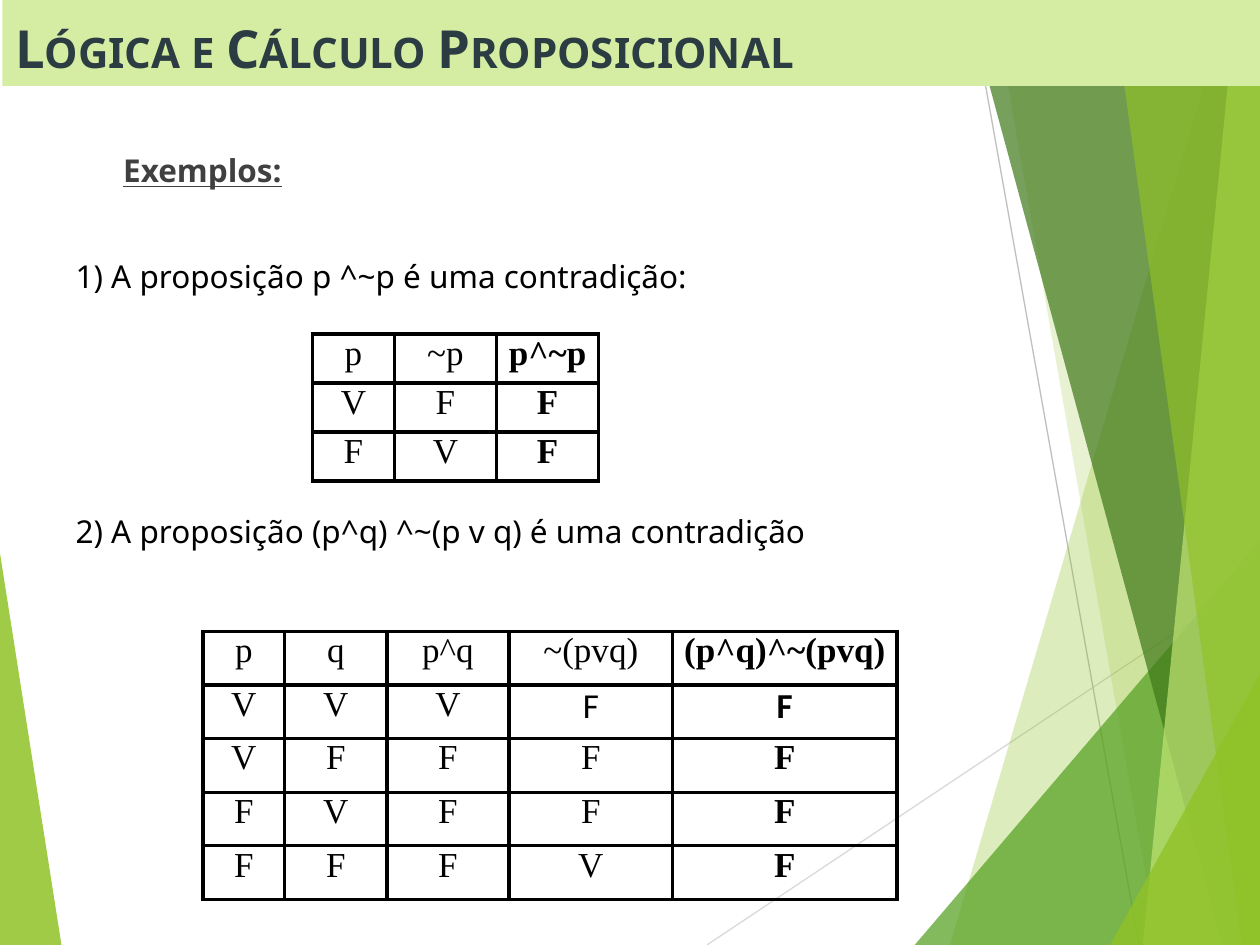
from lxml import etree
from pptx import Presentation
from pptx.dml.color import RGBColor
from pptx.enum.shapes import MSO_CONNECTOR
from pptx.enum.text import MSO_ANCHOR, MSO_AUTO_SIZE, PP_ALIGN
from pptx.oxml import parse_xml
from pptx.oxml.ns import nsdecls, qn
from pptx.util import Cm, Pt

BLACK = RGBColor(0x00, 0x00, 0x00)
GRAY = RGBColor(0x40, 0x40, 0x40)
SLATE = RGBColor(0x2C, 0x3C, 0x43)
PALE_LIME = RGBColor(0xD5, 0xED, 0xA2)
LIME = RGBColor(0x90, 0xC2, 0x26)
GREEN = RGBColor(0x54, 0xA0, 0x21)
DARK_GREEN = RGBColor(0x3F, 0x78, 0x19)
LIGHT_LIME = RGBColor(0xC0, 0xE4, 0x74)
LINE_LIGHT = RGBColor(0xD9, 0xD9, 0xD9)
LINE_GRAY = RGBColor(0xBF, 0xBF, 0xBF)
TEXT_FONT, TABLE_FONT = "Noto Sans", "Times New Roman"
WIDTH, HEIGHT = 25.4, 19.05

# Content
TITLE = "Lógica e Cálculo Proposicional"
# text, space before (pt), left margin (cm), colour, emphasised
BODY = [
    ("Exemplos:", 0, 0.96, GRAY, True),
    ("1) A proposição p ^~p é uma contradição:", 39, 0, BLACK, False),
    ("2) A proposição (p^q) ^~(p v q) é uma contradição", 124, 0, BLACK, False),
]
TRUTH_TABLES = [
    {"left": 6.3, "top": 6.73, "row_height": 0.99, "columns": [1.65, 2.06, 2.06],
     "rows": ["p ~p p^~p", "V F F", "F V F"], "sans_cells": []},
    {"left": 4.09, "top": 12.73, "row_height": 1.08,
     "columns": [1.65, 2.06, 2.46, 3.3, 4.52],
     "rows": ["p q p^q ~(pvq) (p^q)^~(pvq)", "V V V F F", "V F F F F",
              "F V F F F", "F F F V F"],
     "sans_cells": [(1, 3), (1, 4)]},
]

# Decoration: corner points in cm, colour, opacity in percent
LEFT_WEDGE = ([(0, 11.15), (1.24, HEIGHT), (0, HEIGHT)], LIME, 85)
RAYS = [(14.25, HEIGHT, WIDTH, 11.61, LINE_LIGHT),
        (19.56, 0, 22.96, HEIGHT, LINE_GRAY)]


def band(top_x, bottom_x):
    return [(top_x, 0), (bottom_x, HEIGHT), (WIDTH, HEIGHT), (WIDTH, 0)]


def corner(bottom_x, right_y):
    return [(bottom_x, HEIGHT), (WIDTH, right_y), (WIDTH, HEIGHT)]


RIGHT_FACETS = [
    (band(24.77, 19.15), LIME, 30),
    (band(20.02, 23.34), LIME, 20),
    (corner(18.44, 10.9), GREEN, 72),
    (band(19.48, 24.64), DARK_GREEN, 70),
    (band(24.92, 23.04), LIGHT_LIME, 70),
    (band(22.43, 25.04), LIME, 65),
    (corner(22.38, 13.59), LIME, 80),
]

presentation = Presentation()
presentation.slide_width, presentation.slide_height = Cm(WIDTH), Cm(HEIGHT)
slide = presentation.slides.add_slide(presentation.slide_layouts[1])


def add_facet(points, color, opacity):
    corners = [(Cm(x), Cm(y)) for x, y in points]
    builder = slide.shapes.build_freeform(*corners[0])
    builder.add_line_segments(corners[1:], close=True)
    shape = builder.convert_to_shape()
    shape.shadow.inherit = False
    shape.line.fill.background()
    shape.fill.solid()
    shape.fill.fore_color.rgb = color
    color_element = shape.element.spPr.find(".//" + qn("a:srgbClr"))
    etree.SubElement(color_element, qn("a:alpha"), val=str(opacity * 1000))


def add_ray(x1, y1, x2, y2, color):
    ray = slide.shapes.add_connector(
        MSO_CONNECTOR.STRAIGHT, Cm(x1), Cm(y1), Cm(x2), Cm(y2))
    ray.line.color.rgb = color
    ray.line.width = Pt(0.75)
    etree.SubElement(ray.element.spPr, qn("a:effectLst"))


def place(shape, left, top, width, height):
    shape.left, shape.top = Cm(left), Cm(top)
    shape.width, shape.height = Cm(width), Cm(height)
    shape.element.getparent().append(shape.element)  # bring to front


def format_font(font, name, size, color, bold):
    font.name, font.size, font.bold = name, Pt(size), bold
    font.color.rgb = color


def add_borders(cell):
    properties = cell._tc.get_or_add_tcPr()
    for position, side in enumerate(("lnL", "lnR", "lnT", "lnB")):
        properties.insert(position, parse_xml(
            f'<a:{side} {nsdecls("a")} w="{Pt(2.25)}"><a:solidFill>'
            f'<a:srgbClr val="{BLACK}"/></a:solidFill></a:{side}>'))


def add_truth_table(left, top, row_height, columns, rows, sans_cells):
    frame = slide.shapes.add_table(
        len(rows), len(columns), Cm(left), Cm(top),
        Cm(sum(columns)), Cm(row_height * len(rows)))
    table = frame.table
    for column, width in zip(table.columns, columns):
        column.width = Cm(width)
    for i, row in enumerate(rows):
        table.rows[i].height = Cm(row_height)
        for j, text in enumerate(row.split()):
            cell = table.cell(i, j)
            cell.fill.background()
            cell.margin_left = cell.margin_right = Cm(0.13)
            cell.margin_top = cell.margin_bottom = 0
            add_borders(cell)
            cell.text_frame.text = text
            paragraph = cell.text_frame.paragraphs[0]
            paragraph.alignment = PP_ALIGN.CENTER
            font_name = "Calibri" if (i, j) in sans_cells else TABLE_FONT
            format_font(paragraph.runs[0].font, font_name, 20, BLACK,
                        j == len(columns) - 1)


# Background decoration
add_facet(*LEFT_WEDGE)
for ray in RAYS:
    add_ray(*ray)
for facet in RIGHT_FACETS:
    add_facet(*facet)

# Body text
body = slide.placeholders[1]
place(body, 1.27, 2.92, 20.75, 15.06)
text_frame = body.text_frame
text_frame.text = "\n".join(item[0] for item in BODY)
text_frame.auto_size = MSO_AUTO_SIZE.NONE
text_frame.vertical_anchor = MSO_ANCHOR.TOP
for paragraph, (_, space, margin, color, strong) in zip(text_frame.paragraphs, BODY):
    paragraph.space_before = Pt(space)
    properties = paragraph._p.get_or_add_pPr()
    properties.set("marL", str(Cm(margin)))
    properties.set("indent", "0")
    etree.SubElement(properties, qn("a:buNone"))
    font = paragraph.runs[0].font
    format_font(font, TEXT_FONT, 18, color, strong)
    font.underline = strong

# Title bar
title = slide.shapes.title
place(title, 0.05, 0, 25.35, 1.73)
title.fill.solid()
title.fill.fore_color.rgb = PALE_LIME
title.text_frame.text = TITLE
title.text_frame.auto_size = MSO_AUTO_SIZE.NONE
title.text_frame.vertical_anchor = MSO_ANCHOR.BOTTOM
paragraph = title.text_frame.paragraphs[0]
paragraph.alignment = PP_ALIGN.LEFT
format_font(paragraph.runs[0].font, TEXT_FONT, 30, SLATE, True)
paragraph.runs[0]._r.get_or_add_rPr().set("cap", "small")

# Truth tables
for truth_table in TRUTH_TABLES:
    add_truth_table(**truth_table)

presentation.save("out.pptx")
